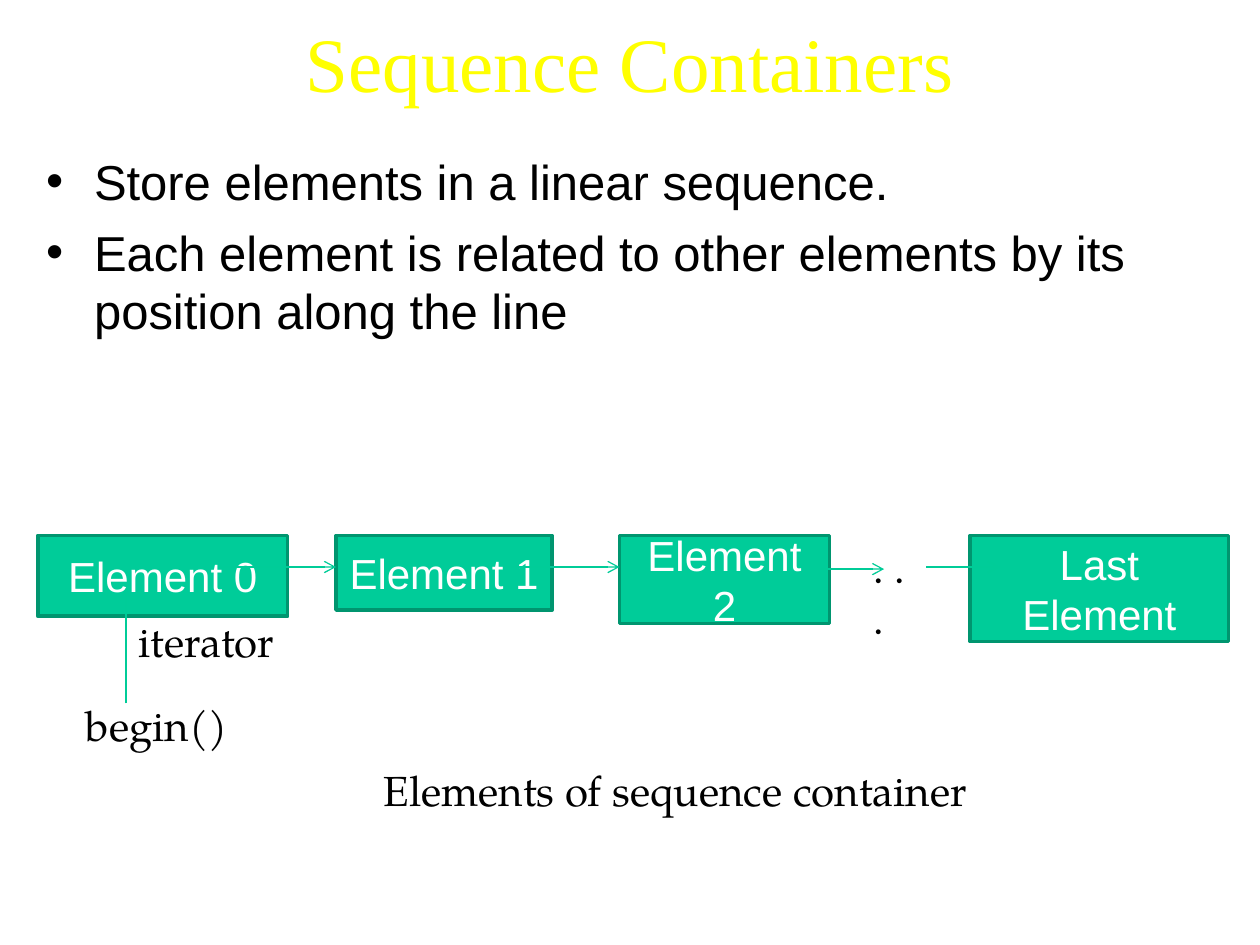
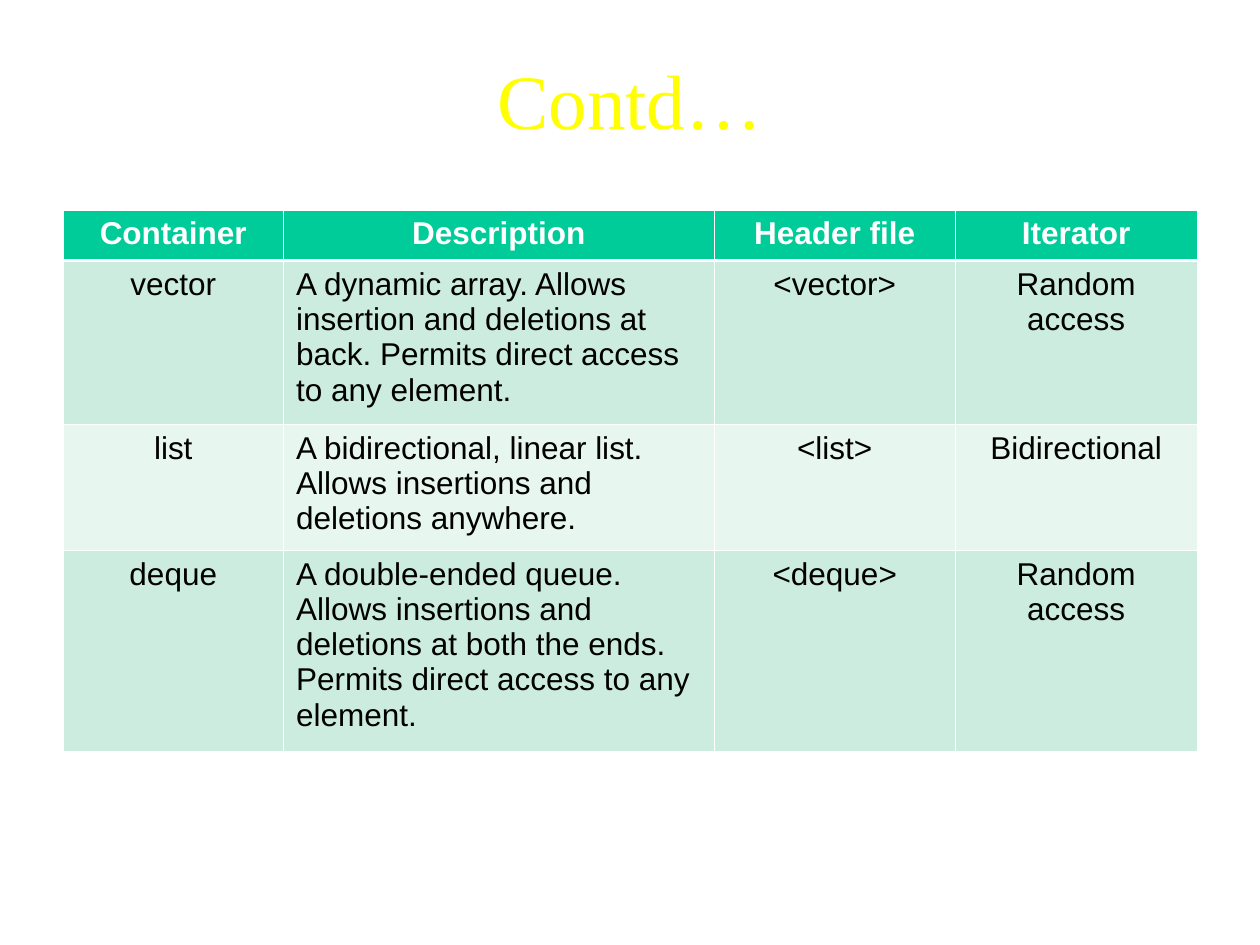
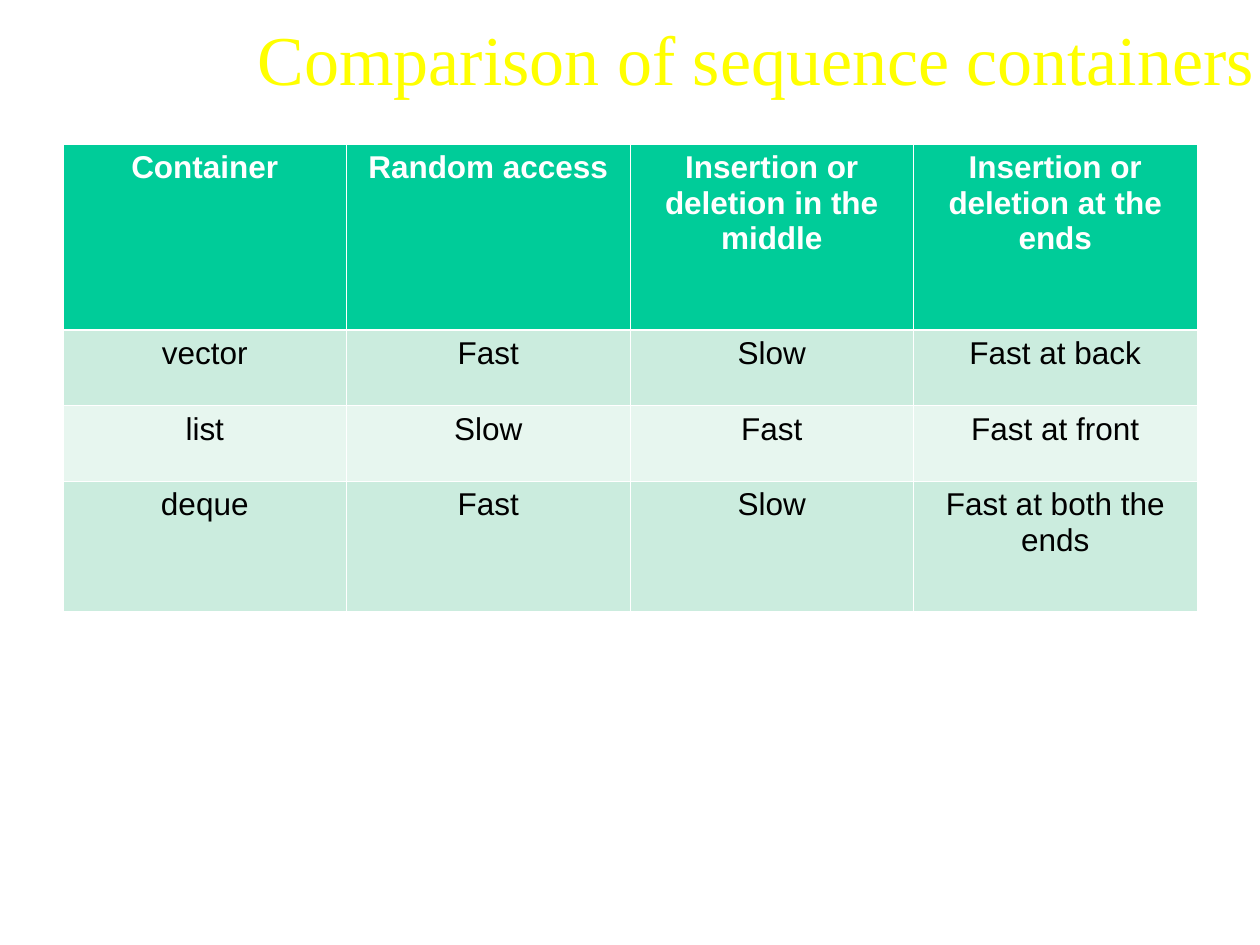
from lxml import etree
from pptx import Presentation
from pptx.dml.color import RGBColor
from pptx.enum.shapes import MSO_CONNECTOR, MSO_SHAPE
from pptx.enum.text import MSO_ANCHOR, MSO_AUTO_SIZE, PP_ALIGN
from pptx.oxml.ns import qn
from pptx.util import Inches, Pt

STRAIGHT = MSO_CONNECTOR.STRAIGHT
RECTANGLE = MSO_SHAPE.RECTANGLE
TOP, MIDDLE = MSO_ANCHOR.TOP, MSO_ANCHOR.MIDDLE
LEFT, CENTER = PP_ALIGN.LEFT, PP_ALIGN.CENTER
FIXED_SIZE = MSO_AUTO_SIZE.NONE

SANS, SERIF, BOOK = "Arial", "Times New Roman", "TeX Gyre Pagella"
BLACK, WHITE, YELLOW = "000000", "FFFFFF", "FFFF00"
GREEN, DARK_GREEN, ARROW_GREEN = "00CC99", "00956F", "00CC98"
BANDS = ("CBECDE", "E7F6EF")

GRID_STEP = Inches(1) / 12  # the slide is 120 columns by 90 rows
TITLE_AND_BODY, TITLE_ONLY = 1, 5


def color(hex_value):
    return RGBColor.from_string(hex_value)


def grid(*steps):
    """Turn grid columns or rows into slide lengths."""
    return [round(step * GRID_STEP) for step in steps]


def place(shape, left, top, width, height):
    shape.left, shape.top, shape.width, shape.height = grid(left, top, width, height)


def add_span(para, text, size, font, hex_value, bold=False):
    span = para.add_run()
    span.text = text
    span.font.size = Pt(size)
    span.font.name = font
    span.font.bold = bold
    span.font.color.rgb = color(hex_value)


def prepare_frame(frame, anchor=TOP, margin_top=0.05):
    frame.word_wrap = True
    frame.auto_size = FIXED_SIZE
    frame.vertical_anchor = anchor
    frame.margin_top = Inches(margin_top)


def add_titled_page(deck, layout, text, left, top, height, size=44):
    page = deck.slides.add_slide(deck.slide_layouts[layout])
    title = page.shapes.title
    place(title, left, top, 108, height)
    prepare_frame(title.text_frame, margin_top=0.12)
    para = title.text_frame.paragraphs[0]
    para.alignment = CENTER
    add_span(para, text, size, SERIF, YELLOW)
    return page


def set_bullet(para, symbol):
    properties = para._p.get_or_add_pPr()
    properties.set("marL", str(Inches(0.38)))
    properties.set("indent", str(-Inches(0.38)))
    tint = etree.SubElement(properties, qn("a:buClr"))
    etree.SubElement(tint, qn("a:srgbClr"), val=BLACK)
    etree.SubElement(properties, qn("a:buFont"), typeface=SANS)
    etree.SubElement(properties, qn("a:buChar"), char=symbol)


def fill_bullets(body, items):
    prepare_frame(body.text_frame, margin_top=0.09)
    for index, item in enumerate(items):
        frame = body.text_frame
        para = frame.add_paragraph() if index else frame.paragraphs[0]
        set_bullet(para, "•")
        para.space_before = Pt(7 if index else 0)
        add_span(para, item, 28, SANS, BLACK)


def add_element_box(page, text, left, width, height):
    box = page.shapes.add_shape(RECTANGLE, *grid(left, 51, width, height))
    box.shadow.inherit = False
    box.fill.solid()
    box.fill.fore_color.rgb = color(GREEN)
    box.line.color.rgb = color(DARK_GREEN)
    box.line.width = Pt(2)
    prepare_frame(box.text_frame, MIDDLE)
    para = box.text_frame.paragraphs[0]
    para.alignment = CENTER
    add_span(para, text, 24, SANS, WHITE)


def add_label(page, text, left, top, width, height=6, alignment=LEFT):
    box = page.shapes.add_textbox(*grid(left, top, width, height))
    prepare_frame(box.text_frame)
    para = box.text_frame.paragraphs[0]
    para.alignment = alignment
    add_span(para, text, 24, BOOK, BLACK)


def add_arrow(page, start_x, start_y, end_x, end_y):
    arrow = page.shapes.add_connector(STRAIGHT, *grid(start_x, start_y, end_x, end_y))
    arrow.line.color.rgb = color(ARROW_GREEN)
    arrow.line.width = Pt(0.75)
    etree.SubElement(arrow.line._get_or_add_ln(), qn("a:tailEnd"), type="arrow")
    etree.SubElement(arrow._element.spPr, qn("a:effectLst"))


def set_borders(cell, top, bottom):
    """Draw white borders; top and bottom widths are in points."""
    properties = cell._tc.get_or_add_tcPr()
    widths = {"lnL": 0.45, "lnR": 0.45, "lnT": top, "lnB": bottom}
    for side, width in widths.items():
        line = etree.SubElement(properties, qn(f"a:{side}"), w=str(Pt(width)))
        solid = etree.SubElement(line, qn("a:solidFill"))
        etree.SubElement(solid, qn("a:srgbClr"), val=WHITE)


def add_banded_table(page, rows, top, column_widths, row_heights, left_columns=()):
    area = grid(6, top, sum(column_widths), sum(row_heights))
    table = page.shapes.add_table(len(rows), len(column_widths), *area).table
    for column, width in zip(table.columns, grid(*column_widths)):
        column.width = width
    for row, height in zip(table.rows, grid(*row_heights)):
        row.height = height
    for row_index, texts in enumerate(rows):
        header = row_index == 0
        for column_index, text in enumerate(texts):
            cell = table.cell(row_index, column_index)
            set_borders(cell, 1.47 if row_index == 1 else 0.45, 1.47 if header else 0.45)
            cell.fill.solid()
            fill = GREEN if header else BANDS[(row_index - 1) % 2]
            cell.fill.fore_color.rgb = color(fill)
            para = cell.text_frame.paragraphs[0]
            flush_left = column_index in left_columns and not header
            para.alignment = LEFT if flush_left else CENTER
            add_span(para, text, 18, SANS, WHITE if header else BLACK, header)


def build_sequence_page(deck):
    page = add_titled_page(deck, TITLE_AND_BODY, "Sequence Containers", 6, 0, 18.6)
    body = page.placeholders[1]
    place(body, 3.2, 13.3, 114.2, 34)
    fill_bullets(body, [
        "Store elements in a linear sequence.",
        "Each element is related to other elements by its position along the line",
    ])
    for text, left, width, height in (
        ("Element 0", 3.6, 23.8, 7.7),
        ("Element 1", 32, 20.6, 7.1),
        ("Last Element", 92.4, 24.6, 10.1),
        ("Element 2", 59, 20, 8.4),
    ):
        add_element_box(page, text, left, width, height)

    add_arrow(page, 12, 67, 12, 56)
    add_label(page, "begin()", 7, 66, 21)
    add_label(page, "iterator", 12, 58, 21.6)
    for start, end, height in ((21, 32, 54), (48, 59, 54), (88.2, 95.2, 54), (78.2, 84.2, 54.2)):
        add_arrow(page, start, height, end, height)
    add_label(page, ". . .", 82, 51, 7, 10.8)
    add_label(page, "Elements of sequence container", 32.3, 72.2, 64, alignment=CENTER)


def build_description_page(deck):
    page = add_titled_page(deck, TITLE_ONLY, "Contd…", 6, 3.6, 15)
    rows = [
        ("Container", "Description", "Header file", "Iterator"),
        ("vector", "A dynamic array. Allows insertion and deletions at back. "
         "Permits direct access to any element.", "<vector>", "Random access"),
        ("list", "A bidirectional, linear list. Allows insertions and "
         "deletions anywhere.", "<list>", "Bidirectional"),
        ("deque", "A double-ended queue. Allows insertions and deletions at both "
         "the ends. Permits direct access to any element.", "<deque>", "Random access"),
    ]
    add_banded_table(page, rows, 20, (21, 41, 23, 23), (4.8, 15.6, 12, 19.2), left_columns=(1,))


def build_comparison_page(deck):
    page = add_titled_page(
        deck, TITLE_ONLY, "Comparison of sequence containers", 18, 0, 15, size=40)
    rows = [
        ("Container", "Random access", "Insertion or deletion in the middle",
         "Insertion or deletion at the ends"),
        ("vector", "Fast", "Slow", "Fast at back"),
        ("list", "Slow", "Fast", "Fast at front"),
        ("deque", "Fast", "Slow", "Fast at both the ends"),
    ]
    add_banded_table(page, rows, 13.7, (27,) * 4, (17.7, 7.2, 7.2, 12.4))


def main():
    deck = Presentation()
    deck.slide_width, deck.slide_height = grid(120, 90)
    build_sequence_page(deck)
    build_description_page(deck)
    build_comparison_page(deck)
    deck.save("out.pptx")


if __name__ == "__main__":
    main()
